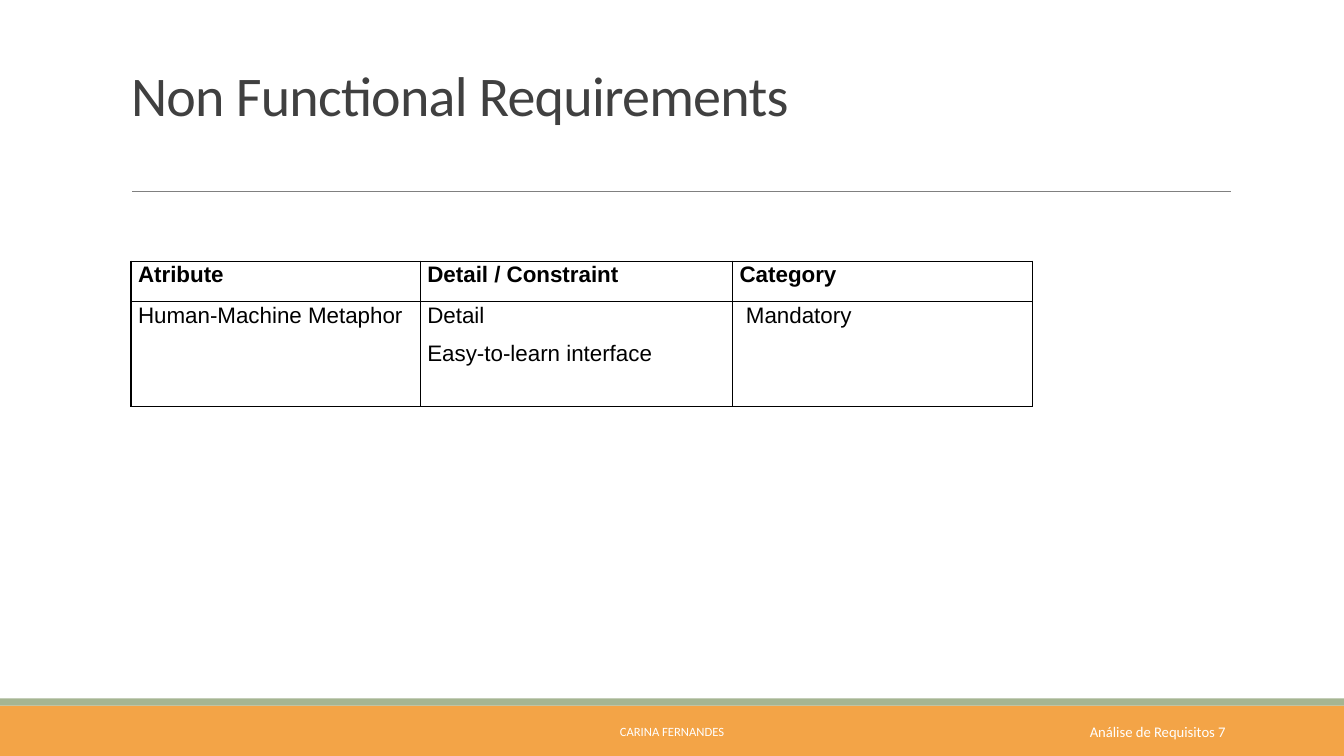
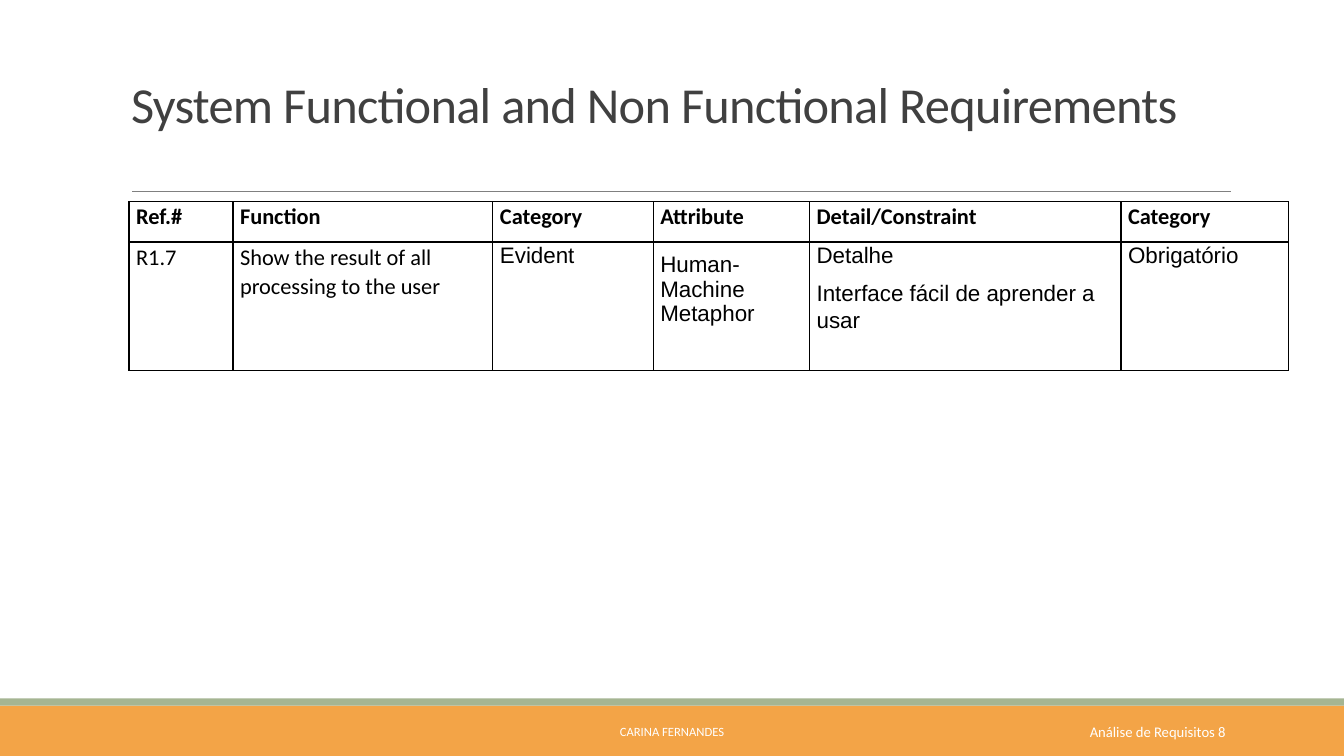
from dataclasses import dataclass

from lxml.etree import SubElement
from pptx import Presentation
from pptx.dml.color import RGBColor
from pptx.enum.shapes import MSO_CONNECTOR, MSO_SHAPE
from pptx.enum.text import MSO_ANCHOR, MSO_AUTO_SIZE, PP_ALIGN
from pptx.oxml import parse_xml
from pptx.oxml.ns import nsdecls, qn
from pptx.util import Cm, Pt

ORANGE = RGBColor(0xF3, 0xA4, 0x47)
GREEN = RGBColor(0xA5, 0xB5, 0x92)
RULE_GREY = RGBColor(0x80, 0x80, 0x80)
TITLE_GREY = RGBColor(0x40, 0x40, 0x40)
BLACK = RGBColor(0, 0, 0)
WHITE = RGBColor(0xFF, 0xFF, 0xFF)

SLIDE_WIDTH, SLIDE_HEIGHT = Cm(33.87), Cm(19.05)
TITLE_ONLY = 5
TITLE_LINE_SPACING = 0.85
CELL_INSET = 0.18
FIRST_SHARED_ID = 100


@dataclass
class Entry:
    """Content of one table cell; insets are extra centimetres."""
    text: str
    font: str = "Arial"
    line_spacing: float = 1.07
    extra_left: float = 0
    extra_top: float = 0


def style_font(paragraph, name, size, color, bold=False):
    font = paragraph.font
    font.name, font.size, font.bold = name, Pt(size), bold
    font.color.rgb = color


# Shared parts
def add_band(slide, top, height, color):
    band = slide.shapes.add_shape(
        MSO_SHAPE.RECTANGLE, 0, Cm(top), SLIDE_WIDTH, Cm(height))
    band.shadow.inherit = False
    band.fill.solid()
    band.fill.fore_color.rgb = color
    band.line.fill.background()
    return band


def add_title_rule(slide):
    rule = slide.shapes.add_connector(
        MSO_CONNECTOR.STRAIGHT, Cm(3.33), Cm(4.83), Cm(31.01), Cm(4.83))
    rule.line.color.rgb = RULE_GREY
    rule.line.width = Pt(0.5)
    SubElement(rule.element.spPr, qn("a:effectLst"))
    return rule


def add_footer(slide, text, left, width, size, align):
    footer = slide.shapes.add_textbox(Cm(left), Cm(17.93), Cm(width), Cm(1.02))
    frame = footer.text_frame
    frame.word_wrap = True
    frame.vertical_anchor = MSO_ANCHOR.MIDDLE
    frame.text = text
    frame.paragraphs[0].alignment = align
    style_font(frame.paragraphs[0], "Calibri", size, WHITE)
    return footer


def set_up_layout(layout, slide):
    """Draw the shared parts, then move them from the slide to its layout."""
    title = layout.placeholders[0]
    title.left, title.top = Cm(3.05), Cm(0.79)
    title.width, title.height = Cm(27.94), Cm(4.04)
    shared = [
        add_band(slide, 17.78, 1.27, ORANGE),
        add_band(slide, 17.6, 0.18, GREEN),
        add_title_rule(slide),
        add_footer(slide, "CARINA FERNANDES", 10.24, 13.39, 9, PP_ALIGN.CENTER),
    ]
    for number, part in enumerate(shared, FIRST_SHARED_ID):
        part.element.xpath(".//p:cNvPr")[0].set("id", str(number))
        layout.shapes.element.append(part.element)


# Slide content
def set_title(slide, text, size):
    title = slide.shapes.title
    frame = title.text_frame
    frame.text = text
    frame.auto_size = MSO_AUTO_SIZE.NONE
    frame.vertical_anchor = MSO_ANCHOR.BOTTOM
    # Leave one free line between the title and the rule
    frame.margin_bottom = Cm(0.13) + Pt(size * 1.22 * TITLE_LINE_SPACING)
    paragraph = frame.paragraphs[0]
    paragraph.alignment = PP_ALIGN.LEFT
    paragraph.line_spacing = TITLE_LINE_SPACING
    style_font(paragraph, "Calibri", size, TITLE_GREY)
    title.element.xpath(".//a:defRPr")[0].set("spc", "-50")


def add_borders(cell):
    properties = cell._tc.get_or_add_tcPr()
    for position, side in enumerate(("lnL", "lnR", "lnT", "lnB")):
        properties.insert(position, parse_xml(
            f'<a:{side} {nsdecls("a")} w="{Pt(1)}"><a:solidFill>'
            f'<a:srgbClr val="{BLACK}"/></a:solidFill></a:{side}>'))


def fill_cell(cell, entry, bold):
    cell.text = entry.text
    cell.fill.background()
    add_borders(cell)
    cell.margin_left = Cm(CELL_INSET + entry.extra_left)
    cell.margin_right = Cm(CELL_INSET)
    cell.margin_top, cell.margin_bottom = Cm(entry.extra_top), 0
    for paragraph in cell.text_frame.paragraphs:
        paragraph.line_spacing = entry.line_spacing
        paragraph.space_after = Pt(8)
        style_font(paragraph, entry.font, 16, BLACK, bold)


def add_requirements(slide, left, top, widths, heights, rows):
    table = slide.shapes.add_table(
        len(rows), len(widths), Cm(left), Cm(top),
        Cm(sum(widths)), Cm(sum(heights))).table
    table.first_row = table.horz_banding = False
    for column, width in zip(table.columns, widths):
        column.width = Cm(width)
    for row, height, entries in zip(table.rows, heights, rows):
        row.height = Cm(height)
        for cell, entry in zip(row.cells, entries):
            fill_cell(cell, entry, bold=entries is rows[0])


def add_page(deck, layout, page, title, title_size):
    slide = deck.slides.add_slide(layout)
    set_title(slide, title, title_size)
    add_footer(slide, f"Análise de Requisitos {page}",
               24.23, 6.91, 10.5, PP_ALIGN.RIGHT)
    return slide


def main():
    deck = Presentation()
    deck.slide_width, deck.slide_height = SLIDE_WIDTH, SLIDE_HEIGHT
    layout = deck.slide_layouts[TITLE_ONLY]

    # Non functional requirements
    non_functional = add_page(
        deck, layout, 7, "Non Functional Requirements", 40)
    set_up_layout(layout, non_functional)
    add_requirements(
        non_functional, 3.3, 6.58, (7.29, 7.87, 7.57), (1.02, 2.65),
        [[Entry("Atribute"), Entry("Detail / Constraint"), Entry("Category")],
         [Entry("Human-Machine Metaphor"),
          Entry("Detail\nEasy-to-learn interface"),
          Entry("Mandatory", extra_left=0.16)]])

    # Functional and non functional requirements together
    combined = add_page(
        deck, layout, 8,
        "System Functional and Non Functional Requirements", 36)
    headings = ("Ref.#", "Function", "Category",
                "Attribute", "Detail/Constraint", "Category")
    add_requirements(
        combined, 3.25, 5.08, (2.62, 6.55, 4.04, 3.94, 7.85, 4.22),
        (1.02, 3.23),
        [[Entry(heading, "Calibri") for heading in headings],
         [Entry("R1.7", "Calibri"),
          Entry("Show the result of all processing to the user", "Calibri"),
          Entry("Evident"),
          Entry("Human-Machine Metaphor", line_spacing=1, extra_top=0.25),
          Entry("Detalhe\nInterface fácil de aprender a usar"),
          Entry("Obrigatório")]])

    deck.save("out.pptx")


if __name__ == "__main__":
    main()
